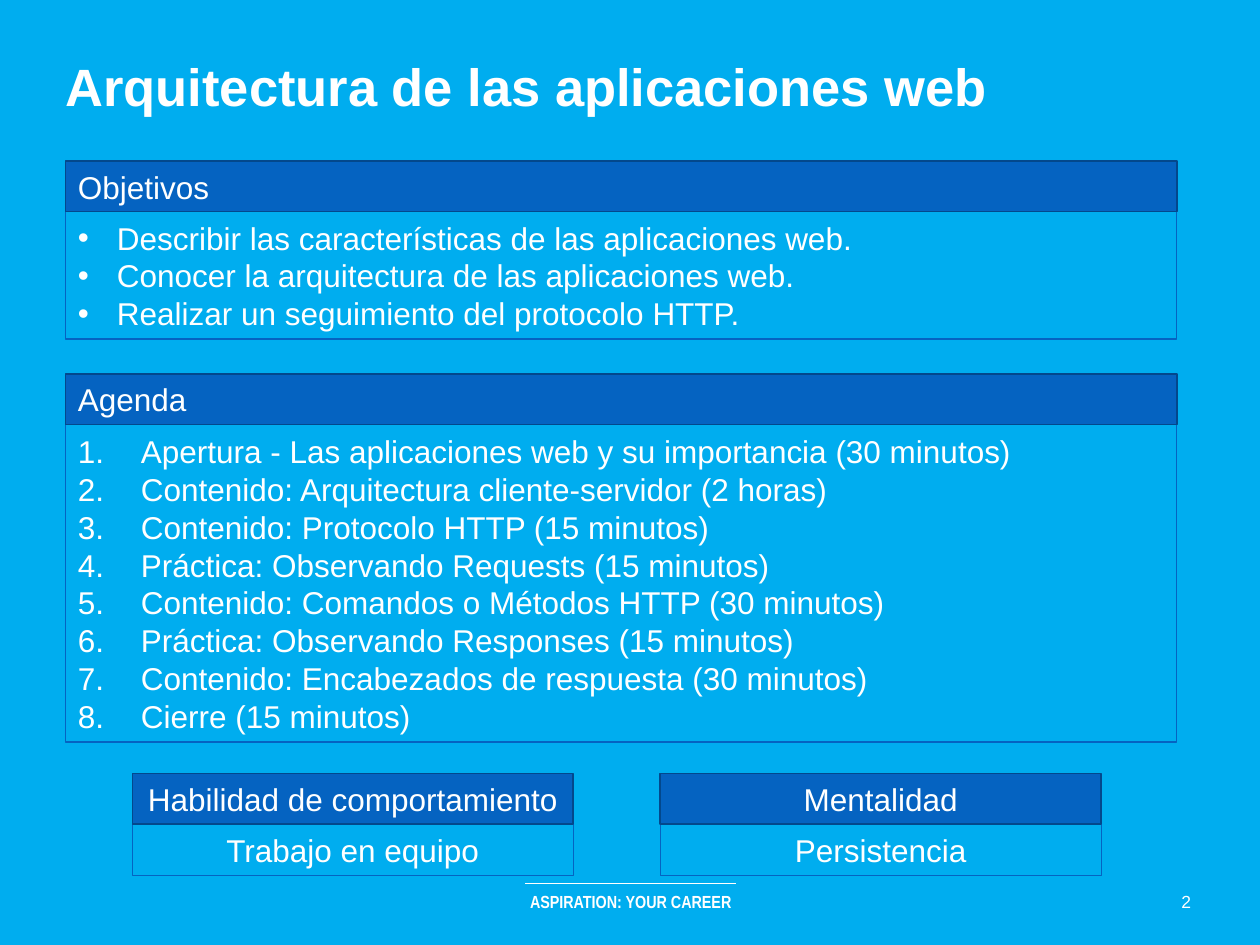
from lxml import etree
from pptx import Presentation
from pptx.dml.color import RGBColor
from pptx.enum.shapes import MSO_CONNECTOR, MSO_SHAPE
from pptx.enum.text import MSO_ANCHOR, PP_ALIGN
from pptx.oxml.ns import qn
from pptx.util import Inches, Pt

COLORS = {"bg": "00ADEF", "header": "0563C1", "edge": "03488C", "text": "FFFFFF"}
HEADER_H = 0.4
OBJECTIVES = [
    "Describir las características de las aplicaciones web.",
    "Conocer la arquitectura de las aplicaciones web.",
    "Realizar un seguimiento del protocolo HTTP.",
]
AGENDA = [
    "Apertura - Las aplicaciones web y su importancia (30 minutos)",
    "Contenido: Arquitectura cliente-servidor (2 horas)",
    "Contenido: Protocolo HTTP (15 minutos)",
    "Práctica: Observando Requests (15 minutos)",
    "Contenido: Comandos o Métodos HTTP (30 minutos)",
    "Práctica: Observando Responses (15 minutos)",
    "Contenido: Encabezados de respuesta (30 minutos)",
    "Cierre (15 minutos)",
]
BULLET = (0.31, "buChar", {"char": "•"})
NUMBER = (0.5, "buAutoNum", {"type": "arabicPeriod"})


def color(name):
    return RGBColor.from_string(COLORS[name])


def add_list_mark(p, indent, tag, attrs):
    pPr = p._p.get_or_add_pPr()
    pPr.set("marL", str(Inches(indent)))
    pPr.set("indent", str(-Inches(indent)))
    if tag == "buChar":
        etree.SubElement(pPr, qn("a:buFont")).set("typeface", "Arial")
    etree.SubElement(pPr, qn(f"a:{tag}"), attrs)


def write(sp, lines, size, align=PP_ALIGN.LEFT, font="Arial", bold=False,
          spacing=None, mark=None, anchor=MSO_ANCHOR.MIDDLE):
    tf = sp.text_frame
    tf.word_wrap = True
    tf.vertical_anchor = anchor
    tf.text = "\n".join(lines)
    for p in tf.paragraphs:
        p.alignment = align
        if spacing:
            p.line_spacing = spacing
        if mark:
            add_list_mark(p, *mark)
        for r in p.runs:
            r.font.size = Pt(size)
            r.font.name = font
            r.font.bold = bold
            r.font.color.rgb = color("text")


def add_text(s, box, text, size, **style):
    sp = s.shapes.add_textbox(*map(Inches, box))
    write(sp, [text], size, **style)
    return sp


def add_cell(s, box, lines, filled, **style):
    sp = s.shapes.add_shape(MSO_SHAPE.RECTANGLE, *map(Inches, box))
    sp.shadow.inherit = False
    if filled:
        sp.fill.solid()
        sp.fill.fore_color.rgb = color("header")
    else:
        sp.fill.background()
    sp.line.color.rgb = color("edge" if filled else "header")
    sp.line.width = Pt(0.85 if filled else 0.75)
    write(sp, lines, 18, spacing=Pt(21.6), **style)


def add_panel(s, box, heading, lines, align=PP_ALIGN.LEFT, mark=None):
    x, y, w, h = box
    add_cell(s, (x, y + HEADER_H, w, h - HEADER_H), lines, False, align=align, mark=mark)
    add_cell(s, (x, y, w, HEADER_H), [heading], True, align=align)


def add_title(s, box, text):
    sp = add_text(s, box, text, 30, bold=True, spacing=1.1, anchor=MSO_ANCHOR.TOP)
    sp.text_frame.margin_left = sp.text_frame.margin_right = 0


def add_footer(s, box, text, number):
    x, y, w, h = box
    add_text(s, (x, y, w, h), text, 10, align=PP_ALIGN.CENTER,
             font="Arial Narrow", bold=True)
    add_text(s, (9.23, y, 0.37, h), number, 10, align=PP_ALIGN.CENTER)
    rule = s.shapes.add_connector(MSO_CONNECTOR.STRAIGHT, Inches(x + 0.5), Inches(y - 0.01),
                                  Inches(x + w - 0.5), Inches(y - 0.01))
    rule.line.color.rgb = color("text")
    rule.line.width = Pt(0.75)
    etree.SubElement(rule._element.spPr, qn("a:effectLst"))


def main():
    prs = Presentation()
    prs.slide_width, prs.slide_height = Inches(10), Inches(7.5)
    s = prs.slides.add_slide(prs.slide_layouts[6])
    s.background.fill.solid()
    s.background.fill.fore_color.rgb = color("bg")

    add_footer(s, (3.67, 7.02, 2.67, 0.27), "ASPIRATION: YOUR CAREER", "2")
    add_title(s, (0.52, 0.33, 7.91, 1.11), "Arquitectura de las aplicaciones web")
    add_panel(s, (0.52, 1.28, 8.82, 1.41), "Objetivos", OBJECTIVES, mark=BULLET)
    add_panel(s, (0.52, 2.97, 8.82, 2.92), "Agenda", AGENDA, mark=NUMBER)
    for x, heading, value in ((1.05, "Habilidad de comportamiento", "Trabajo en equipo"),
                              (5.24, "Mentalidad", "Persistencia")):
        add_panel(s, (x, 6.14, 3.5, 0.81), heading, [value], align=PP_ALIGN.CENTER)

    prs.save("out.pptx")


if __name__ == "__main__":
    main()
